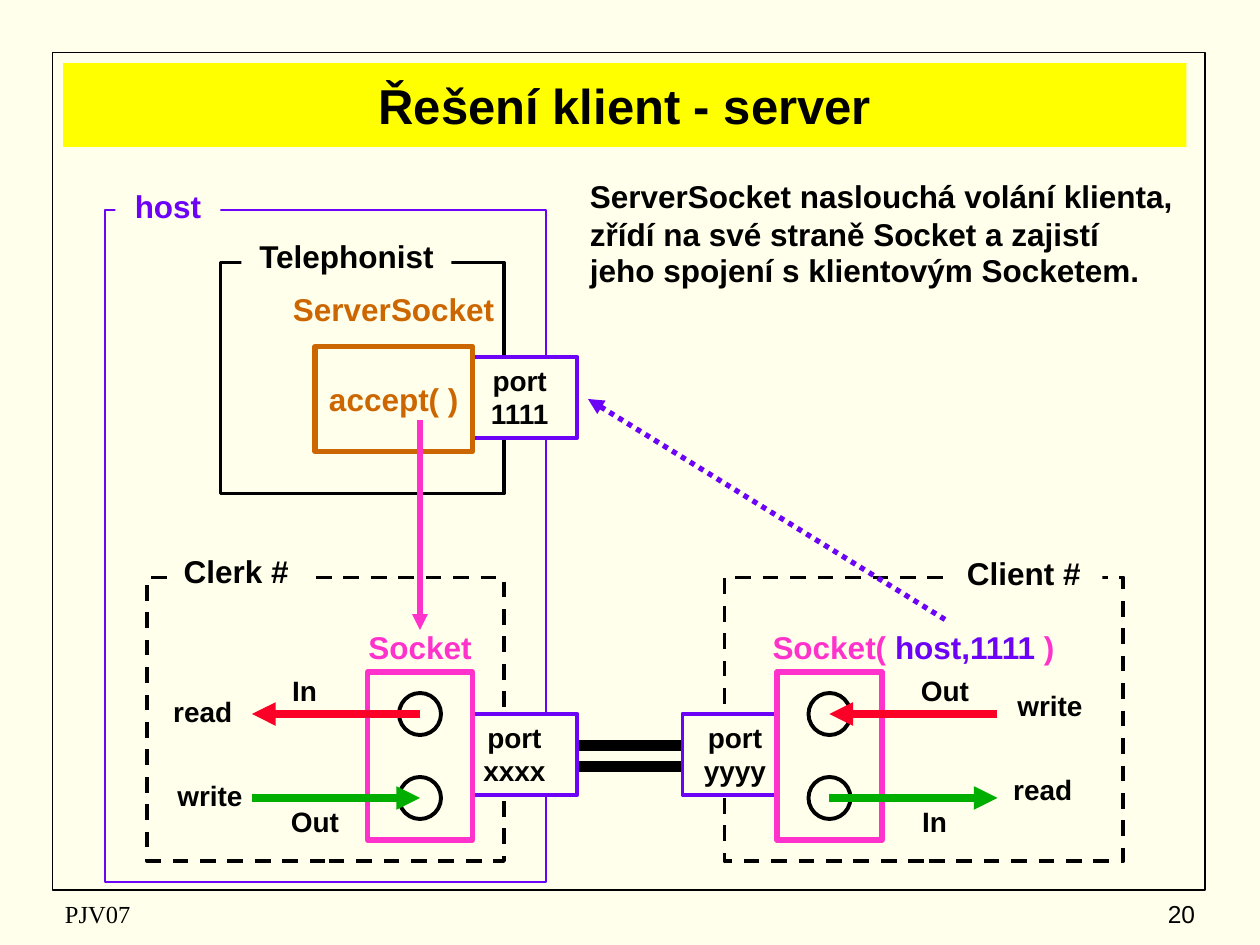
from lxml.etree import SubElement
from pptx import Presentation
from pptx.dml.color import RGBColor
from pptx.enum.dml import MSO_LINE
from pptx.enum.shapes import MSO_CONNECTOR, MSO_SHAPE
from pptx.enum.text import MSO_ANCHOR, PP_ALIGN
from pptx.oxml.ns import qn
from pptx.util import Emu, Inches, Pt

PX = 7620  # 120 px to the inch
C = {"paper": "FFFFEB", "black": "000000", "violet": "6C03F7", "pink": "FF33CC",
     "orange": "CC6600", "yellow": "FFFF00", "green": "00AE00", "red": "FC0128"}

# Content: boxes are (left, top, width, height) in px
TITLE = "Řešení klient - server"
TITLE_BOX = (60, 60, 1070, 80)
BODY = [("ServerSocket naslouchá volání klienta,", 0),
        ("zřídí na své straně Socket a zajistí", 4.5),
        ("jeho spojení s klientovým Socketem.", 3)]
BODY_BOX = (550, 170, 580, 120)

# box, fill, line colour, line width, dash
FRAMES = [
    ((50, 50, 1098, 798), None, "black", 1, None),
    ((100, 200, 420, 640), "paper", "violet", 1.5, None),
    ((690, 550, 380, 270), None, "black", 2.25, MSO_LINE.DASH),
    ((140, 550, 340, 270), None, "black", 2.25, MSO_LINE.DASH),
    ((210, 250, 270, 220), None, "black", 2.25, None),
]
TUNNEL = [((500, y), (660, y), "black", 6) for y in (710, 730)]
PORTS = [("1111", (440, 340, 110, 77)), ("xxxx", (430, 680, 120, 77)),
         ("yyyy", (650, 680, 100, 77))]
ACCEPT = ("accept( )", (300, 330, 150, 100))

SOCKET_LEFTS = (350, 740)
SOCKET_TOP, SOCKET_W, SOCKET_H = 640, 100, 160
STREAM_YS = (680, 760)  # upper and lower stream
RADIUS = 20
ARROWS = [
    ((400, 680), (240, 680), "red", 4.5),
    ((240, 760), (400, 760), "green", 4.5),
    ((950, 680), (790, 680), "red", 4.5),
    ((790, 760), (950, 760), "green", 4.5),
    ((400, 400), (400, 600), "pink", 3),
]
CALL = ((900, 590), (560, 380), "violet", 3)

# left, top
STREAM_LABELS = [("Out", 250, 760), ("Out", 850, 636), ("In", 840, 760), ("In", 240, 636),
                 ("write", 950, 650), ("read", 943, 730), ("write", 150, 736), ("read", 143, 656)]
# runs, left, top, width, fill
CAPTIONS = [
    ([("Socket( ", "pink"), ("host,1111 ", "violet"), (")", "pink")], 720, 592, 300, None),
    ([("Socket", "pink")], 320, 592, 160, None),
    ([("ServerSocket", "orange")], 260, 270, 230, None),
    ([("Telephonist", "black")], 230, 220, 200, "paper"),
    ([("Clerk #", "black")], 160, 520, 130, "paper"),
    ([("Client #", "black")], 900, 522, 150, "paper"),
    ([("host", "violet")], 110, 172, 100, "paper"),
]
FOOTER = [("PJV07", (50, 850, 380, 40), "Times New Roman", PP_ALIGN.LEFT),
          ("20", (900, 850, 250, 40), "Arial", PP_ALIGN.RIGHT)]


def rgb(name):
    return RGBColor.from_string(C[name])


def emu(values):
    return [Emu(v * PX) for v in values]


def paint(sp, fill):
    if fill:
        sp.fill.solid()
        sp.fill.fore_color.rgb = rgb(fill)
    else:
        sp.fill.background()


def write(sp, paragraphs, size, align=PP_ALIGN.CENTER, anchor=MSO_ANCHOR.TOP,
          wrap=True, font="Arial", bold=True):
    """Fill a shape with paragraphs, each a list of (text, colour) runs."""
    tf = sp.text_frame
    tf.word_wrap, tf.vertical_anchor = wrap, anchor
    fmt = {"name": font, "size": Pt(size), "bold": bold}
    for i, runs in enumerate(paragraphs):
        p = tf.add_paragraph() if i else tf.paragraphs[0]
        p.alignment = align
        for text, colour in runs:
            r = p.add_run()
            r.text = text
            for key, value in fmt.items():
                setattr(r.font, key, value)
            r.font.color.rgb = rgb(colour)
    return tf


def add_box(s, box, fill, line, width, dash=None, kind=MSO_SHAPE.RECTANGLE):
    sp = s.shapes.add_shape(kind, *emu(box))
    sp.shadow.inherit = False
    paint(sp, fill)
    sp.line.color.rgb = rgb(line)
    sp.line.width = Pt(width)
    if dash:
        sp.line.dash_style = dash
    return sp


def add_text(s, box, paragraphs, size, fill=None, **kw):
    sp = s.shapes.add_textbox(*emu(box))
    paint(sp, fill)
    return write(sp, paragraphs, size, **kw)


def add_line(s, start, end, colour, width, arrow=False, dash=None):
    cx = s.shapes.add_connector(MSO_CONNECTOR.STRAIGHT, *emu(start + end))
    cx.line.color.rgb = rgb(colour)
    cx.line.width = Pt(width)
    if dash:
        cx.line.dash_style = dash
    if arrow:
        SubElement(cx.line._get_or_add_ln(), qn("a:tailEnd"), type="triangle")
    SubElement(cx._element.spPr, qn("a:effectLst"))


def main():
    prs = Presentation()
    prs.slide_width, prs.slide_height = Inches(10), Inches(7.5)
    s = prs.slides.add_slide(prs.slide_layouts[5])
    s.background.fill.solid()
    s.background.fill.fore_color.rgb = rgb("paper")

    # Frames and title
    for frame in FRAMES:
        add_box(s, *frame)
    title = s.shapes.title
    title.left, title.top, title.width, title.height = emu(TITLE_BOX)
    paint(title, "yellow")
    write(title, [[(TITLE, "black")]], 28, anchor=MSO_ANCHOR.MIDDLE)

    # Explanation
    tf = add_text(s, BODY_BOX, [[(text, "black")] for text, _ in BODY], 18,
                  align=PP_ALIGN.LEFT)
    for p, (_, before) in zip(tf.paragraphs, BODY):
        p.line_spacing = 0.8
        p.space_before = Pt(before)

    # Tunnel and ports
    for line in TUNNEL:
        add_line(s, *line)
    for number, box in PORTS:
        sp = add_box(s, box, "paper", "violet", 2.25)
        write(sp, [[("port", "black")], [(number, "black")]], 16)

    # Server socket, then sockets with their two streams
    text, box = ACCEPT
    sp = add_box(s, box, "paper", "orange", 3)
    write(sp, [[(text, "orange")]], 18, anchor=MSO_ANCHOR.MIDDLE, wrap=False)
    for left in SOCKET_LEFTS:
        add_box(s, (left, SOCKET_TOP, SOCKET_W, SOCKET_H), "paper", "pink", 3)
        for y in STREAM_YS:
            circle = (left + SOCKET_W // 2 - RADIUS, y - RADIUS, 2 * RADIUS, 2 * RADIUS)
            add_box(s, circle, "paper", "black", 2.25, kind=MSO_SHAPE.OVAL)

    # Captions and stream labels
    for runs, left, top, width, fill in CAPTIONS:
        add_text(s, (left, top, width, 48), [runs], 18, fill)
    for text, left, top in STREAM_LABELS:
        add_text(s, (left, top, 100, 44), [[(text, "black")]], 16)

    # Arrows
    for arrow in ARROWS:
        add_line(s, *arrow, arrow=True)
    add_line(s, *CALL, arrow=True, dash=MSO_LINE.ROUND_DOT)

    # Footer
    for text, box, font, align in FOOTER:
        add_text(s, box, [[(text, "black")]], 14, align=align, font=font,
                 anchor=MSO_ANCHOR.MIDDLE, bold=False)

    prs.save("out.pptx")


if __name__ == "__main__":
    main()
